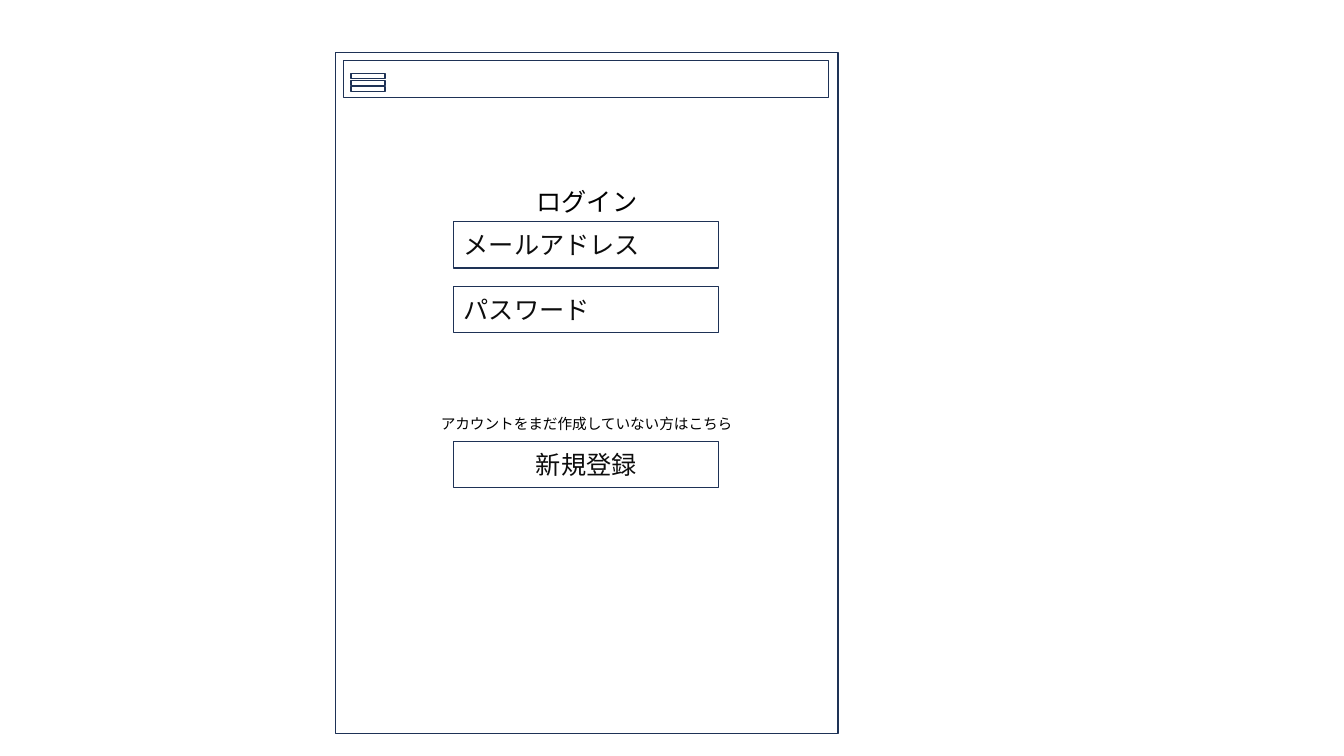
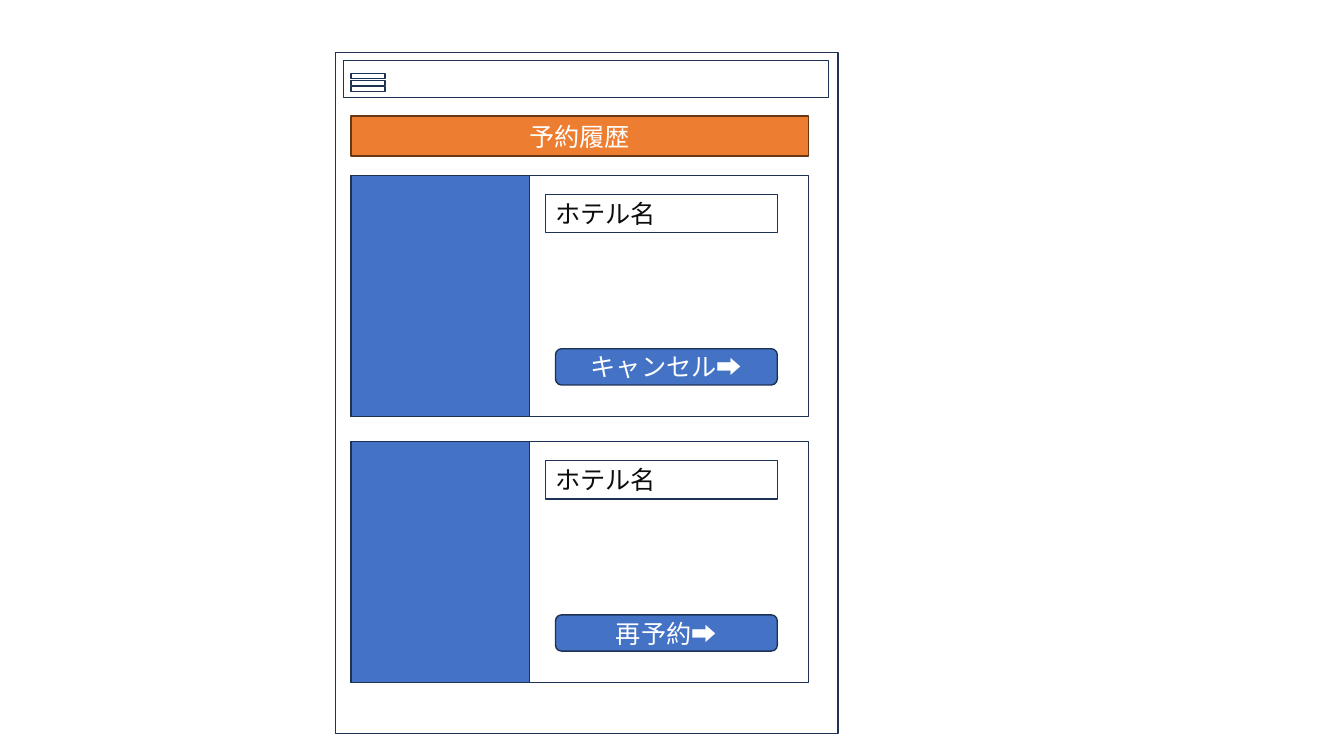
"""Build two wireframe slides of a hotel booking app: login and booking history."""
from pptx import Presentation
from pptx.dml.color import RGBColor
from pptx.enum.shapes import MSO_SHAPE as SHAPE
from pptx.enum.text import MSO_ANCHOR as ANCHOR, MSO_AUTO_SIZE as AUTO, PP_ALIGN as ALIGN
from pptx.oxml.ns import qn
from pptx.util import Emu, Pt

PX = 9144
FONT = "Noto Sans CJK JP"
COLORS = {
    "white": "FFFFFF",
    "black": "000000",
    "ink": "0D0D0D",
    "navy": "1E3256",
    "blue": "4472C4",
    "orange": "ED7D31",
    "brown": "683715",
}


def write(sp, text, size=18, color="ink", align=ALIGN.LEFT, anchor=ANCHOR.MIDDLE):
    tf = sp.text_frame
    tf.word_wrap = True
    tf.vertical_anchor = anchor
    p = tf.paragraphs[0]
    p.alignment = align
    r = p.add_run()
    r.text = text
    r.font.name = FONT
    r.font.size = Pt(size)
    r.font.color.rgb = RGBColor.from_string(COLORS[color])
    r.font._element.get_or_add_latin().addnext(
        r.font._element.makeelement(qn("a:ea"), {"typeface": FONT}))


def box(s, x, y, w, h, fill="white", line="navy", shape=SHAPE.RECTANGLE):
    sp = s.shapes.add_shape(shape, *(Emu(v * PX) for v in (x, y, w, h)))
    sp.shadow.inherit = False
    if fill:
        sp.fill.solid()
        sp.fill.fore_color.rgb = RGBColor.from_string(COLORS[fill])
    else:
        sp.fill.background()
    sp.line.color.rgb = RGBColor.from_string(COLORS[line])
    sp.line.width = Pt(1)
    return sp


prs = Presentation()
prs.slide_width, prs.slide_height = Emu(1333 * PX), Emu(750 * PX)
login, history = (prs.slides.add_slide(prs.slide_layouts[6]) for _ in range(2))

for s in (login, history):
    box(s, 333, 52, 498, 676)
    box(s, 341, 60, 481, 37)
    for y in (73, 80, 86):
        box(s, 348, y, 34, 5)

for y, h, text, size in (
    (180, 40, "ログイン", 18),
    (407, 28, "アカウントをまだ作成していない方はこちら", 10.5),
):
    sp = login.shapes.add_textbox(*(Emu(v * PX) for v in (353, y, 458, h)))
    write(sp, text, size=size, color="black", align=ALIGN.CENTER, anchor=ANCHOR.TOP)
    sp.text_frame.auto_size = AUTO.SHAPE_TO_FIT_TEXT

for y, text, align in (
    (220, "メールアドレス", ALIGN.LEFT),
    (284, "パスワード", ALIGN.LEFT),
    (438, "新規登録", ALIGN.CENTER),
):
    write(box(login, 450, y, 263, 46, fill=None), text, align=align)

heading = box(history, 348, 115, 454, 40, fill="orange", line="brown")
write(heading, "予約履歴", color="white", align=ALIGN.CENTER)

for i, action in enumerate(("キャンセル➡", "再予約➡")):
    top = 174 + 264 * i
    box(history, 348, top, 454, 239)
    box(history, 348, top, 177, 239, fill="blue")
    write(box(history, 541, top + 19, 230, 38, fill=None), "ホテル名")
    button = box(history, 551, top + 172, 220, 36, fill="blue", shape=SHAPE.ROUNDED_RECTANGLE)
    write(button, action, color="white", align=ALIGN.CENTER)

prs.save("out.pptx")
